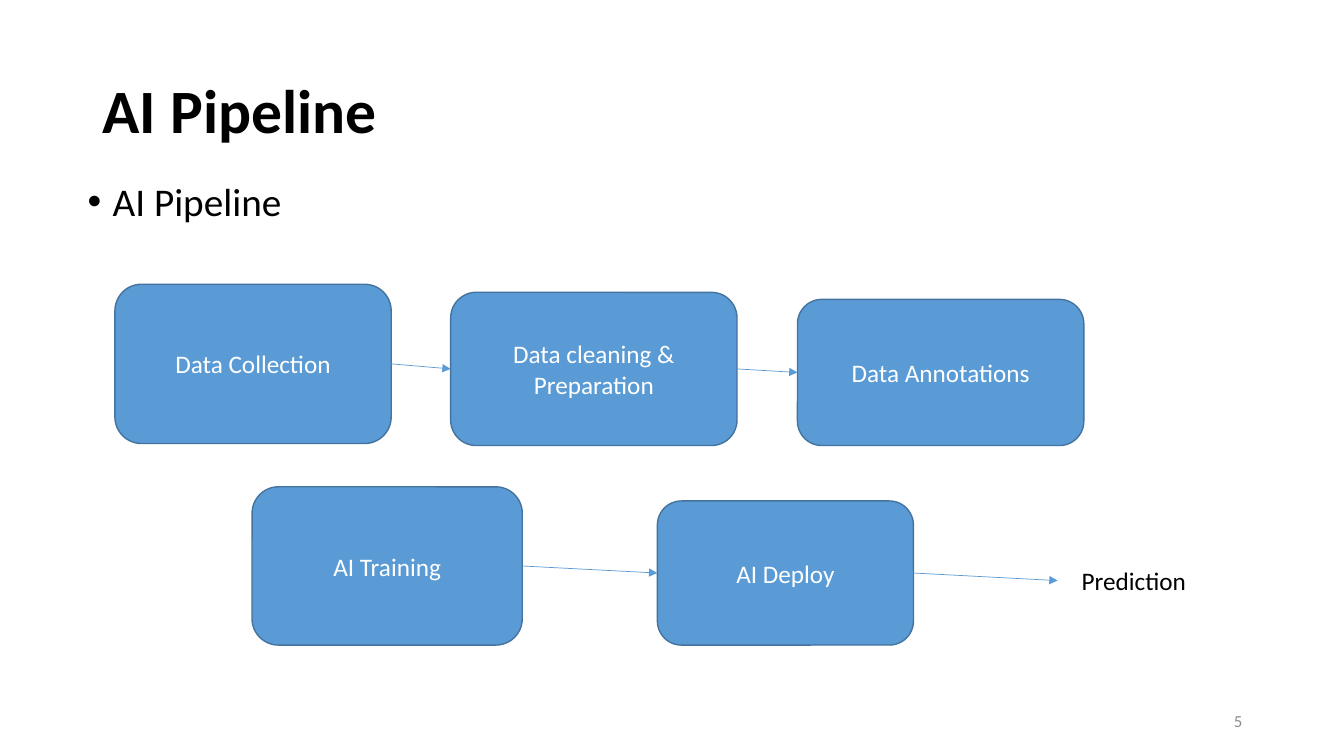
from dataclasses import dataclass

from lxml.etree import SubElement
from pptx import Presentation
from pptx.dml.color import RGBColor
from pptx.enum.shapes import MSO_CONNECTOR, MSO_SHAPE
from pptx.enum.text import MSO_ANCHOR, PP_ALIGN
from pptx.oxml.ns import qn
from pptx.util import Emu, Pt

EMU_PER_PX = 9144  # 100 px to the inch
LEFT_SITE, RIGHT_SITE = 1, 3


@dataclass(frozen=True)
class Theme:
    font: str = "Calibri"
    ink: str = "000000"
    muted: str = "8C8C8C"
    box_fill: str = "5B9BD5"
    box_line: str = "43739E"
    box_text: str = "FFFFFF"
    title_size: int = 44
    body_size: int = 28
    label_size: int = 18
    number_size: int = 12
    box_line_width: float = 1
    arrow_width: float = 0.5


def px(length):
    return Emu(length * EMU_PER_PX)


class SlideBuilder:
    def __init__(self, slide, theme):
        self.slide = slide
        self.theme = theme

    def set_text(self, shape, text, size, color, anchor, align, bold=False, wrap=True):
        frame = shape.text_frame
        frame.word_wrap = wrap
        frame.vertical_anchor = anchor
        paragraph = frame.paragraphs[0]
        paragraph.text = text
        paragraph.alignment = align
        font = paragraph.font
        font.name = self.theme.font
        font.size = Pt(size)
        font.bold = bold
        font.color.rgb = RGBColor.from_string(color)

    def text(self, place, text, size, color=None, anchor=MSO_ANCHOR.TOP,
             align=PP_ALIGN.LEFT, bold=False, wrap=True, line_spacing=None, bullet=False):
        shape = self.slide.shapes.add_textbox(*map(px, place))
        paragraph = shape.text_frame.paragraphs[0]
        paragraph.line_spacing = line_spacing
        if bullet:
            self.add_bullet(paragraph)
        self.set_text(shape, text, size, color or self.theme.ink, anchor, align, bold, wrap)

    def add_bullet(self, paragraph):
        properties = paragraph._p.get_or_add_pPr()
        properties.set("marL", str(px(25)))
        properties.set("indent", str(px(-25)))
        SubElement(properties, qn("a:buFont")).set("typeface", "Arial")
        SubElement(properties, qn("a:buChar")).set("char", "•")

    def box(self, place, label):
        theme = self.theme
        shape = self.slide.shapes.add_shape(MSO_SHAPE.ROUNDED_RECTANGLE, *map(px, place))
        shape.shadow.inherit = False
        shape.fill.solid()
        shape.fill.fore_color.rgb = RGBColor.from_string(theme.box_fill)
        shape.line.color.rgb = RGBColor.from_string(theme.box_line)
        shape.line.width = Pt(theme.box_line_width)
        self.set_text(shape, label, theme.label_size, theme.box_text,
                      MSO_ANCHOR.MIDDLE, PP_ALIGN.CENTER)
        return shape

    def arrow(self, source, target=None, end=(0, 0)):
        """Join source to the target box, or to a free end point."""
        connector = self.slide.shapes.add_connector(
            MSO_CONNECTOR.STRAIGHT, px(0), px(0), *map(px, end))
        connector.begin_connect(source, RIGHT_SITE)
        if target is not None:
            connector.end_connect(target, LEFT_SITE)
        connector.line.color.rgb = RGBColor.from_string(self.theme.box_fill)
        connector.line.width = Pt(self.theme.arrow_width)
        line = connector._element.spPr.find(qn("a:ln"))
        SubElement(line, qn("a:tailEnd")).set("type", "triangle")
        SubElement(connector._element.spPr, qn("a:effectLst"))


def main():
    presentation = Presentation()
    presentation.slide_width, presentation.slide_height = px(1333), px(750)
    theme = Theme()
    slide = presentation.slides.add_slide(presentation.slide_layouts[6])
    builder = SlideBuilder(slide, theme)

    # Title, bullet and slide number
    builder.text((92, 40, 1150, 145), "AI Pipeline", theme.title_size,
                 anchor=MSO_ANCHOR.MIDDLE, bold=True, line_spacing=0.9)
    builder.text((77, 176, 1150, 476), "AI Pipeline", theme.body_size,
                 line_spacing=0.9, bullet=True)
    builder.text((942, 695, 300, 40), "5", theme.number_size, theme.muted,
                 anchor=MSO_ANCHOR.MIDDLE, align=PP_ALIGN.RIGHT)

    # Pipeline stages, one list per row
    rows = [
        [((114, 282, 274, 158), "Data Collection"),
         ((447, 290, 284, 152), "Data cleaning & Preparation"),
         ((791, 297, 284, 145), "Data Annotations")],
        [((250, 483, 268, 157), "AI Training"),
         ((652, 497, 254, 143), "AI Deploy")],
    ]
    boxes = [[builder.box(place, label) for place, label in row] for row in rows]

    # Arrows between neighbours, then out to the result
    for row in boxes:
        for source, target in zip(row, row[1:]):
            builder.arrow(source, target)
    builder.arrow(boxes[-1][-1], end=(1049, 576))
    builder.text((1063, 556, 125, 40), "Prediction", theme.label_size, wrap=False)

    presentation.save("out.pptx")


if __name__ == "__main__":
    main()
